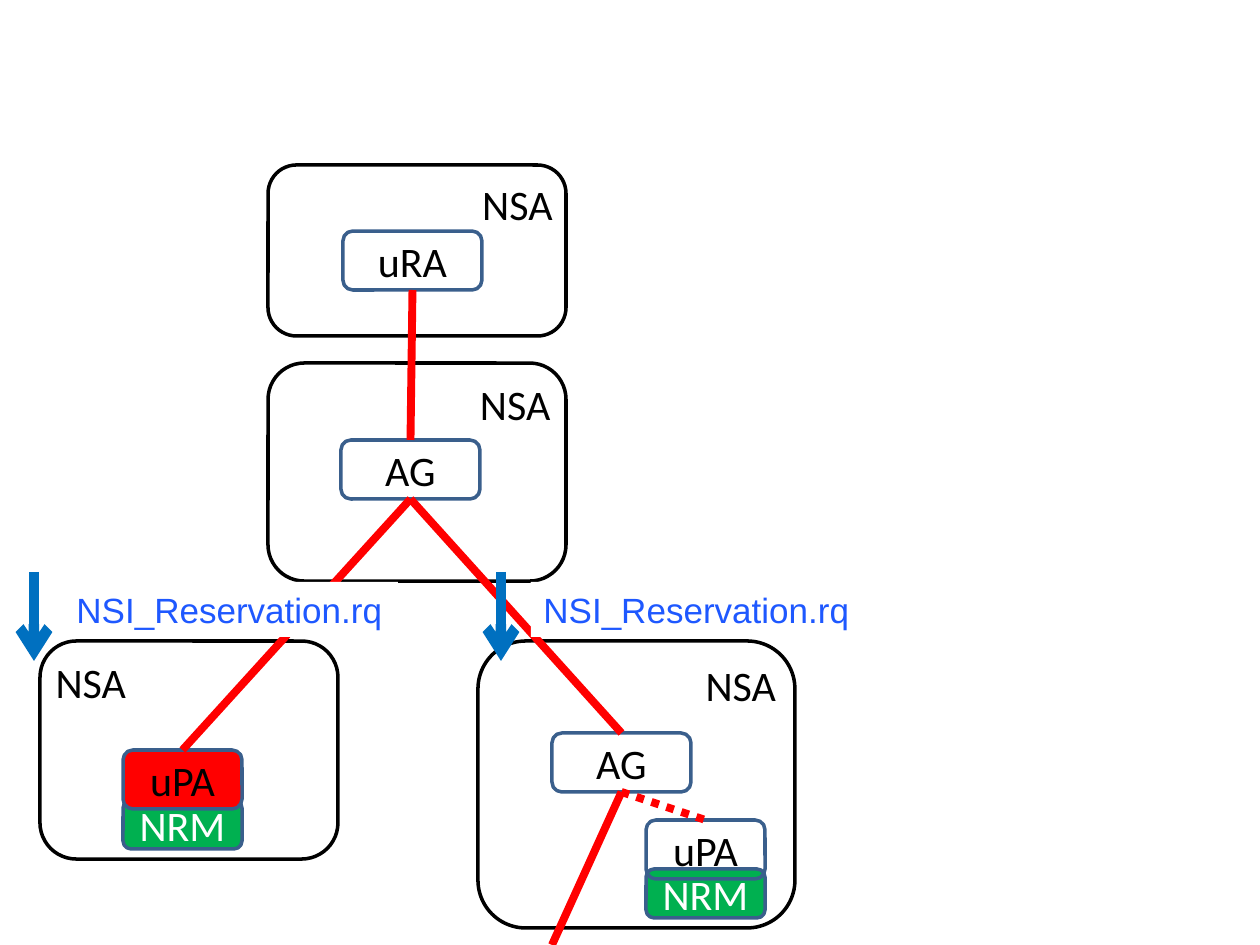
from dataclasses import dataclass
from lxml.etree import SubElement
from pptx import Presentation
from pptx.dml.color import RGBColor
from pptx.enum.dml import MSO_LINE
from pptx.enum.shapes import MSO_CONNECTOR, MSO_SHAPE
from pptx.enum.text import MSO_ANCHOR, MSO_AUTO_SIZE, PP_ALIGN
from pptx.oxml.ns import qn
from pptx.util import Emu, Pt

PIXEL = 7257.14
TOP, BOTTOM = 0, 2


@dataclass(frozen=True)
class Theme:
    black: str = "000000"
    white: str = "FFFFFF"
    node_line: str = "3A5F8C"
    green: str = "00B050"
    red: str = "FF0000"
    arrow: str = "0070C0"
    message: str = "1E58FF"
    node_font: str = "Calibri"
    message_font: str = "Arial"
    node_size: int = 24
    message_size: int = 20
    outline: int = 2
    link: float = 4.5
    arrow_width: int = 6


THEME = Theme()

AGENTS = [
    ((268, 165, 298, 171), PP_ALIGN.RIGHT),
    ((268, 363, 298, 218), PP_ALIGN.RIGHT),
    ((40, 641, 298, 218), PP_ALIGN.LEFT),
    ((478, 641, 317, 287), PP_ALIGN.RIGHT),
]
NODES = [
    ("right NRM", "NRM", (646, 869, 119, 49), THEME.green, THEME.white),
    ("left NRM", "NRM", (123, 800, 119, 49), THEME.green, THEME.white),
    ("requester", "uRA", (343, 231, 139, 59), None, THEME.black),
    ("root aggregator", "AG", (341, 440, 139, 59), None, THEME.black),
    ("right provider", "uPA", (646, 820, 119, 59), None, THEME.black),
    ("left provider", "uPA", (123, 750, 119, 59), THEME.red, THEME.black),
    ("child aggregator", "AG", (552, 733, 139, 59), None, THEME.black),
]
LINKS = [
    ("requester", "root aggregator", None),
    ("root aggregator", "left provider", None),
    ("root aggregator", "child aggregator", None),
    ("child aggregator", None, None),
    ("child aggregator", "right provider", MSO_LINE.ROUND_DOT),
]
OPEN_LINK_END = (552, 945)
MESSAGE = "NSI_Reservation.rq"
MESSAGE_LEFTS = [34, 501]
ARROW_TOP, ARROW_BOTTOM = 572, 661
LABEL_OFFSET, LABEL_TOP, LABEL_WIDTH, LABEL_HEIGHT = 30, 582, 334, 55


def px(*values):
    return [Emu(round(value * PIXEL)) for value in values]


def color(value):
    return RGBColor.from_string(value)


def style_text(shape, text, font_name, size, text_color, align):
    shape.text_frame.text = text
    paragraph = shape.text_frame.paragraphs[0]
    paragraph.alignment = align
    font = paragraph.runs[0].font
    font.name, font.size = font_name, Pt(size)
    font.color.rgb = color(text_color)


def add_box(slide, box, text, fill, line, text_color, align, anchor):
    shape = slide.shapes.add_shape(MSO_SHAPE.ROUNDED_RECTANGLE, *px(*box))
    shape.shadow.inherit = False
    if fill:
        shape.fill.solid()
        shape.fill.fore_color.rgb = color(fill)
    else:
        shape.fill.background()
    shape.line.color.rgb = color(line)
    shape.line.width = Pt(THEME.outline)
    frame = shape.text_frame
    frame.vertical_anchor = anchor
    frame.margin_left = frame.margin_right = frame.margin_top = frame.margin_bottom = px(5)[0]
    style_text(shape, text, THEME.node_font, THEME.node_size, text_color, align)
    return shape


def add_line(shapes, start, end, line_color, width):
    connector = shapes.add_connector(MSO_CONNECTOR.STRAIGHT, *px(*start, *end))
    connector.line.color.rgb = color(line_color)
    connector.line.width = Pt(width)
    SubElement(connector._element.spPr, qn("a:effectLst"))
    return connector


def add_link(slide, source, target, dash):
    connector = add_line(slide.shapes, (0, 0), OPEN_LINK_END, THEME.red, THEME.link)
    connector.begin_connect(source, BOTTOM)
    if target:
        connector.end_connect(target, TOP)
    if dash:
        connector.line.dash_style = dash


def add_message(slide, left):
    shapes = slide.shapes.add_group_shape().shapes
    arrow = add_line(shapes, (left, ARROW_TOP), (left, ARROW_BOTTOM),
                     THEME.arrow, THEME.arrow_width)
    SubElement(arrow.line._get_or_add_ln(), qn("a:tailEnd"), type="arrow")
    label = shapes.add_textbox(*px(left + LABEL_OFFSET, LABEL_TOP, LABEL_WIDTH, LABEL_HEIGHT))
    label.fill.solid()
    label.fill.fore_color.rgb = color(THEME.white)
    label.text_frame.word_wrap = False
    label.text_frame.auto_size = MSO_AUTO_SIZE.SHAPE_TO_FIT_TEXT
    style_text(label, MESSAGE, THEME.message_font, THEME.message_size,
               THEME.message, PP_ALIGN.LEFT)


def main():
    presentation = Presentation()
    presentation.slide_width, presentation.slide_height = px(1260, 945)
    slide = presentation.slides.add_slide(presentation.slide_layouts[6])
    for box, align in AGENTS:
        add_box(slide, box, "NSA", None, THEME.black, THEME.black, align, MSO_ANCHOR.TOP)
    nodes = {
        name: add_box(slide, box, text, fill, THEME.node_line, text_color,
                      PP_ALIGN.CENTER, MSO_ANCHOR.MIDDLE)
        for name, text, box, fill, text_color in NODES
    }
    for source, target, dash in LINKS:
        add_link(slide, nodes[source], nodes.get(target), dash)
    for left in MESSAGE_LEFTS:
        add_message(slide, left)
    presentation.save("out.pptx")


if __name__ == "__main__":
    main()
